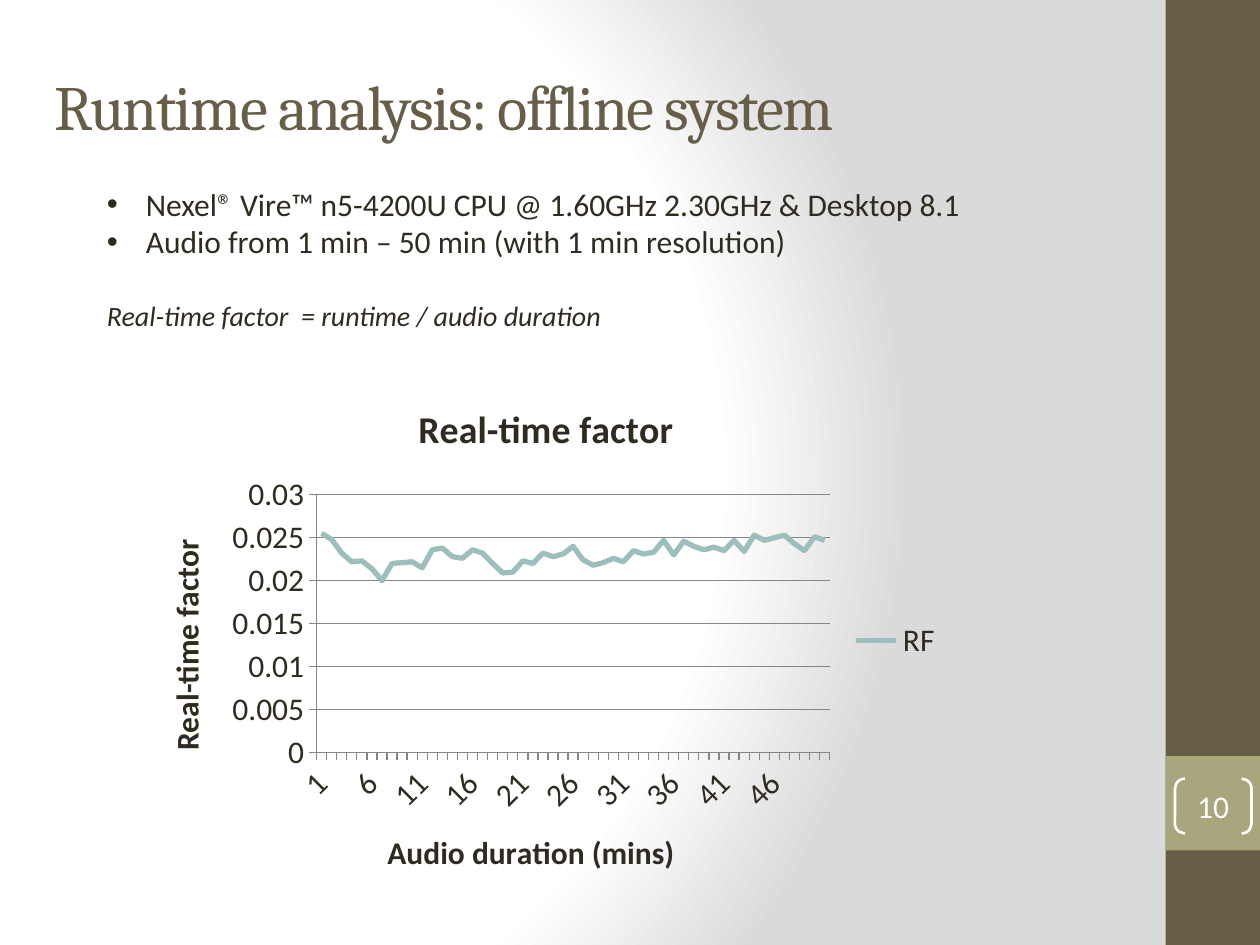
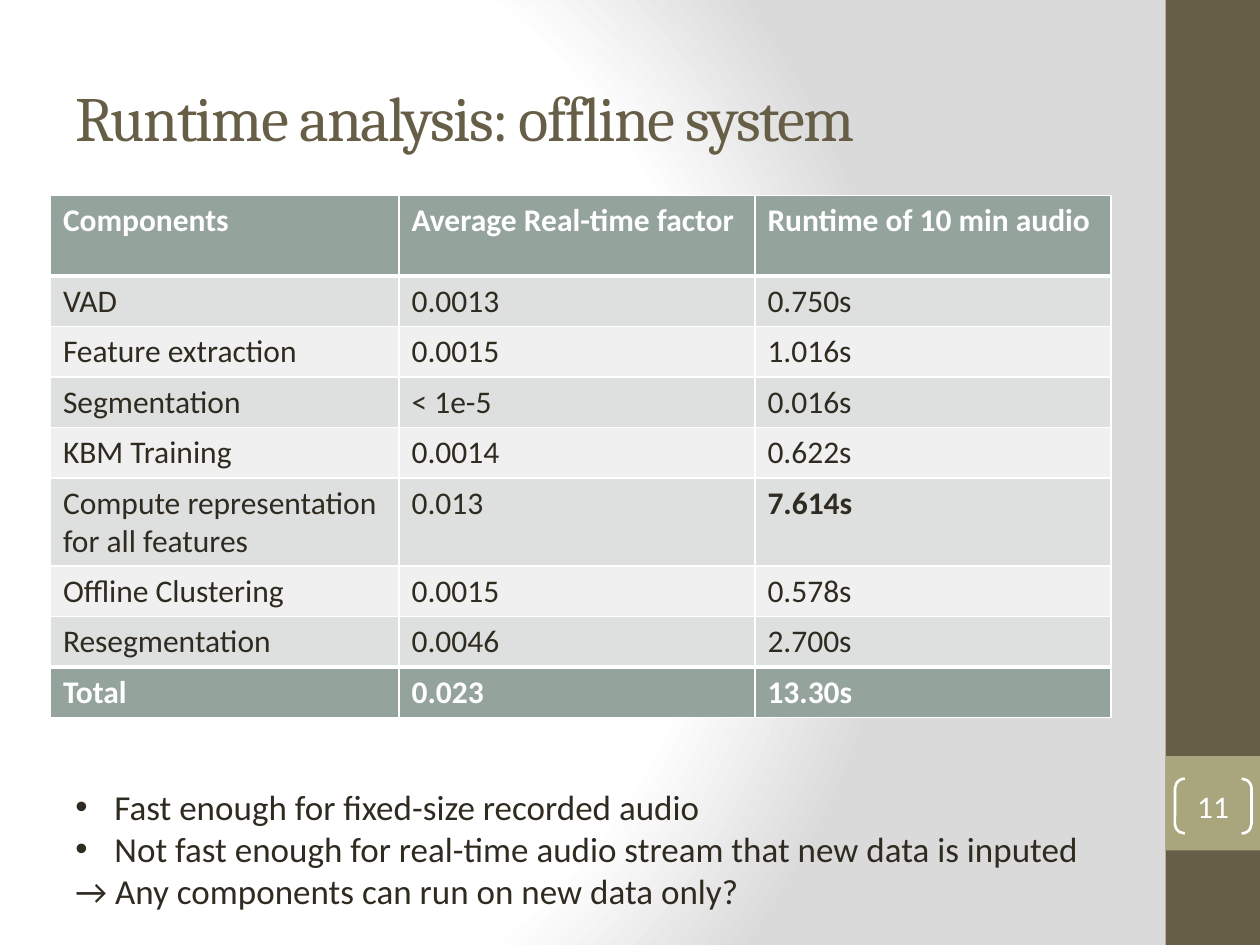
from collections import namedtuple

from lxml import etree
from pptx import Presentation
from pptx import util as u
from pptx.chart.data import CategoryChartData
from pptx.dml.color import RGBColor
from pptx.enum import chart as ch
from pptx.enum import shapes, text
from pptx.oxml import parse_xml
from pptx.oxml.ns import nsdecls, qn

# Shared look
OLIVE, SAND, INK, WHITE = "675E47", "A9A57C", "2F2B20", "FFFFFF"
TEAL, SAGE, GRID_GRAY = "9CBEBD", "95A39D", "868686"
STRIPES = ("DDE0DF", "EFF0EF")
HEAD_FONT, BODY_FONT = "Cambria", "Calibri"
TITLE = "Runtime analysis: offline system"

# The slide is a grid of 120 columns by 90 rows
WIDTH, HEIGHT = u.Inches(10), u.Inches(7.5)
COLUMN, ROW = WIDTH / 120, HEIGHT / 90
Box = namedtuple("Box", "left top width height")


def emu(box):
    return (round(box.left * COLUMN), round(box.top * ROW),
            round(box.width * COLUMN), round(box.height * ROW))


def inside(box, left, top, width, height):
    """A box given in shares of another box."""
    return Box(box.left + left * box.width, box.top + top * box.height,
               width * box.width, height * box.height)


def rgb(code):
    return RGBColor.from_string(code)


def style_font(font, size=18, color=INK, bold=False, italic=False, name=BODY_FONT):
    font.size, font.bold, font.italic, font.name = u.Pt(size), bold, italic, name
    font.color.rgb = rgb(color)


def write(frame, words, align=None, bullet=False, before=0, spacing=0, **look):
    """Add one paragraph of text to a frame."""
    paragraph = frame.paragraphs[0]
    if paragraph.runs:
        paragraph = frame.add_paragraph()
    run = paragraph.add_run()
    run.text = words
    style_font(run.font, **look)
    if align is not None:
        paragraph.alignment = align
    if before:
        paragraph.space_before = u.Pt(before)
    if spacing:
        run.font._element.set("spc", str(spacing * 100))
    if bullet:
        props = paragraph._p.get_or_add_pPr()
        indent = u.Inches(0.31)
        props.set("marL", str(indent))
        props.set("indent", str(-indent))
        etree.SubElement(props, qn("a:buFont"), typeface="Arial")
        etree.SubElement(props, qn("a:buChar"), char="•")


def text_area(slide, box, anchor=text.MSO_ANCHOR.TOP):
    frame = slide.shapes.add_textbox(*emu(box)).text_frame
    frame.word_wrap = True
    frame.vertical_anchor = anchor
    return frame


def add_panel(slide, kind, box, fill=None, line=None):
    panel = slide.shapes.add_shape(kind, *emu(box))
    panel.shadow.inherit = False
    if fill:
        panel.fill.solid()
        panel.fill.fore_color.rgb = rgb(fill)
    else:
        panel.fill.background()
    if line:
        panel.line.color.rgb = rgb(line)
        panel.line.width = u.Pt(1.5)
    else:
        panel.line.fill.background()
    return panel


def paint_background(master):
    master.background.fill.gradient()
    gradient = master.element.find(".//" + qn("a:gradFill"))
    stops = "".join(f'<a:gs pos="{share * 1000}"><a:srgbClr val="{color}"/></a:gs>'
                    for share, color in ((0, WHITE), (75, WHITE), (100, "DADADA")))
    gradient.getparent().replace(gradient, parse_xml(
        f'<a:gradFill {nsdecls("a")} rotWithShape="1"><a:gsLst>{stops}</a:gsLst>'
        '<a:path path="circle"><a:fillToRect l="20000" t="50000" r="100000" b="50000"/>'
        '</a:path></a:gradFill>'))


def add_side_band(slide, box, number):
    add_panel(slide, shapes.MSO_SHAPE.RECTANGLE, box, fill=OLIVE)
    badge = inside(box, 0, 0.8, 1, 0.1)
    add_panel(slide, shapes.MSO_SHAPE.RECTANGLE, badge, fill=SAND)
    bracket = add_panel(slide, shapes.MSO_SHAPE.DOUBLE_BRACKET,
                        inside(badge, 0.1, 0.24, 0.81, 0.58), line=WHITE)
    bracket.adjustments[0] = 0.18
    frame = bracket.text_frame
    frame.margin_left = frame.margin_right = frame.margin_top = frame.margin_bottom = 0
    frame.vertical_anchor = text.MSO_ANCHOR.MIDDLE
    write(frame, str(number), align=text.PP_ALIGN.CENTER, color=WHITE)


def start_slide(prs, number, title_left, title_top):
    slide = prs.slides.add_slide(prs.slide_layouts[6])
    add_side_band(slide, Box(111, 0, 9, 90), number)
    heading = text_area(slide, Box(title_left, title_top, 100, 15), text.MSO_ANCHOR.MIDDLE)
    write(heading, TITLE, size=36, color=OLIVE, name=HEAD_FONT, spacing=-1)
    return slide


# Chart slide
FACTORS = [
    0.0255, 0.0248, 0.0232, 0.0222, 0.0223, 0.0214, 0.02, 0.022, 0.0221, 0.0222,
    0.0215, 0.0236, 0.0238, 0.0228, 0.0226, 0.0236, 0.0232, 0.022, 0.0209, 0.021,
    0.0223, 0.022, 0.0232, 0.0228, 0.0231, 0.024, 0.0224, 0.0218, 0.0221, 0.0226,
    0.0222, 0.0235, 0.0231, 0.0233, 0.0247, 0.023, 0.0246, 0.024, 0.0236, 0.0239,
    0.0235, 0.0247, 0.0234, 0.0253, 0.0247, 0.025, 0.0253, 0.0243, 0.0235, 0.0251,
    0.0247]


def add_factor_chart(slide, box):
    data = CategoryChartData()
    data.categories = [str(minute) for minute in range(1, 51)]
    data.add_series("RF", FACTORS)
    chart = slide.shapes.add_chart(ch.XL_CHART_TYPE.LINE, *emu(box), data).chart
    style_font(chart.font)
    chart.has_title = True
    write(chart.chart_title.text_frame, "Real-time factor", size=21.6, bold=True)
    chart.has_legend = True
    chart.legend.position = ch.XL_LEGEND_POSITION.RIGHT
    chart.legend.include_in_layout = False

    minutes, factor = chart.category_axis, chart.value_axis
    for axis, caption in ((minutes, "Audio duration (mins)"), (factor, "Real-time factor")):
        write(axis.axis_title.text_frame, caption, bold=True)
        axis.major_tick_mark = ch.XL_TICK_MARK.OUTSIDE
        axis.format.line.color.rgb = rgb(GRID_GRAY)
    factor.minimum_scale, factor.maximum_scale, factor.major_unit = 0, 0.03, 0.005
    factor.has_major_gridlines = True
    factor.major_gridlines.format.line.color.rgb = rgb(GRID_GRAY)

    plot = chart.plots[0]
    plot.vary_by_categories = False
    curve = plot.series[0]
    curve.smooth = False
    curve.format.line.color.rgb = rgb(TEAL)
    curve.format.line.width = u.Pt(3)


def build_chart_slide(prs):
    slide = start_slide(prs, 10, 4, 2.5)
    setup = text_area(slide, Box(9, 17, 93, 19))
    write(setup, "Nexel® Vire™ n5-4200U CPU @ 1.60GHz 2.30GHz & Desktop 8.1", bullet=True)
    write(setup, "Audio from 1 min – 50 min (with 1 min resolution)", bullet=True)
    write(setup, "Real-time factor  = runtime / audio duration", size=16, italic=True, before=22)
    add_factor_chart(slide, Box(13, 36, 78, 50))


# Table slide
RUNTIMES = [
    ("Components", "Average Real-time factor", "Runtime of 10 min audio"),
    ("VAD", "0.0013", "0.750s"),
    ("Feature extraction", "0.0015", "1.016s"),
    ("Segmentation", "< 1e-5", "0.016s"),
    ("KBM Training", "0.0014", "0.622s"),
    ("Compute representation for all features", "0.013", "7.614s"),
    ("Offline Clustering", "0.0015", "0.578s"),
    ("Resegmentation", "0.0046", "2.700s"),
    ("Total", "0.023", "13.30s")]
SLOWEST = "7.614s"
COLUMN_SPANS = (33.2, 33.9, 33.9)
ROW_SPANS = (7.7, 4.8, 4.8, 4.8, 4.8, 8.3, 4.8, 4.8, 4.8)


def set_borders(cell, top, bottom):
    props = cell._tc.get_or_add_tcPr()
    for side, points in (("L", 1), ("R", 1), ("T", top), ("B", bottom)):
        props.append(parse_xml(
            f'<a:ln{side} {nsdecls("a")} w="{u.Pt(points)}"><a:solidFill>'
            f'<a:srgbClr val="{WHITE}"/></a:solidFill></a:ln{side}>'))


def add_runtime_table(slide, left, top):
    box = Box(left, top, sum(COLUMN_SPANS), sum(ROW_SPANS))
    table = slide.shapes.add_table(len(RUNTIMES), len(COLUMN_SPANS), *emu(box)).table
    for column, span in zip(table.columns, COLUMN_SPANS):
        column.width = round(span * COLUMN)
    for row, span in zip(table.rows, ROW_SPANS):
        row.height = round(span * ROW)
    last = len(RUNTIMES) - 1
    for r, entries in enumerate(RUNTIMES):
        strong = r in (0, last)
        for c, entry in enumerate(entries):
            cell = table.cell(r, c)
            set_borders(cell, top=3 if r in (1, last) else 1,
                        bottom=3 if r in (0, last - 1) else 1)
            cell.fill.solid()
            cell.fill.fore_color.rgb = rgb(SAGE if strong else STRIPES[(r - 1) % 2])
            write(cell.text_frame, entry, bold=strong or entry == SLOWEST,
                  color=WHITE if strong else INK)


def build_table_slide(prs):
    slide = start_slide(prs, 11, 6, 3.6)
    add_runtime_table(slide, 4.8, 18.6)
    findings = text_area(slide, Box(6, 74.2, 99.7, 15.5))
    write(findings, "Fast enough for fixed-size recorded audio", size=20, bullet=True)
    write(findings, "Not fast enough for real-time audio stream that new data is inputed",
          size=20, bullet=True)
    write(findings, "→ Any components can run on new data only?", size=20)


def main():
    prs = Presentation()
    prs.slide_width, prs.slide_height = WIDTH, HEIGHT
    paint_background(prs.slide_master)
    build_chart_slide(prs)
    build_table_slide(prs)
    prs.save("out.pptx")


if __name__ == "__main__":
    main()
